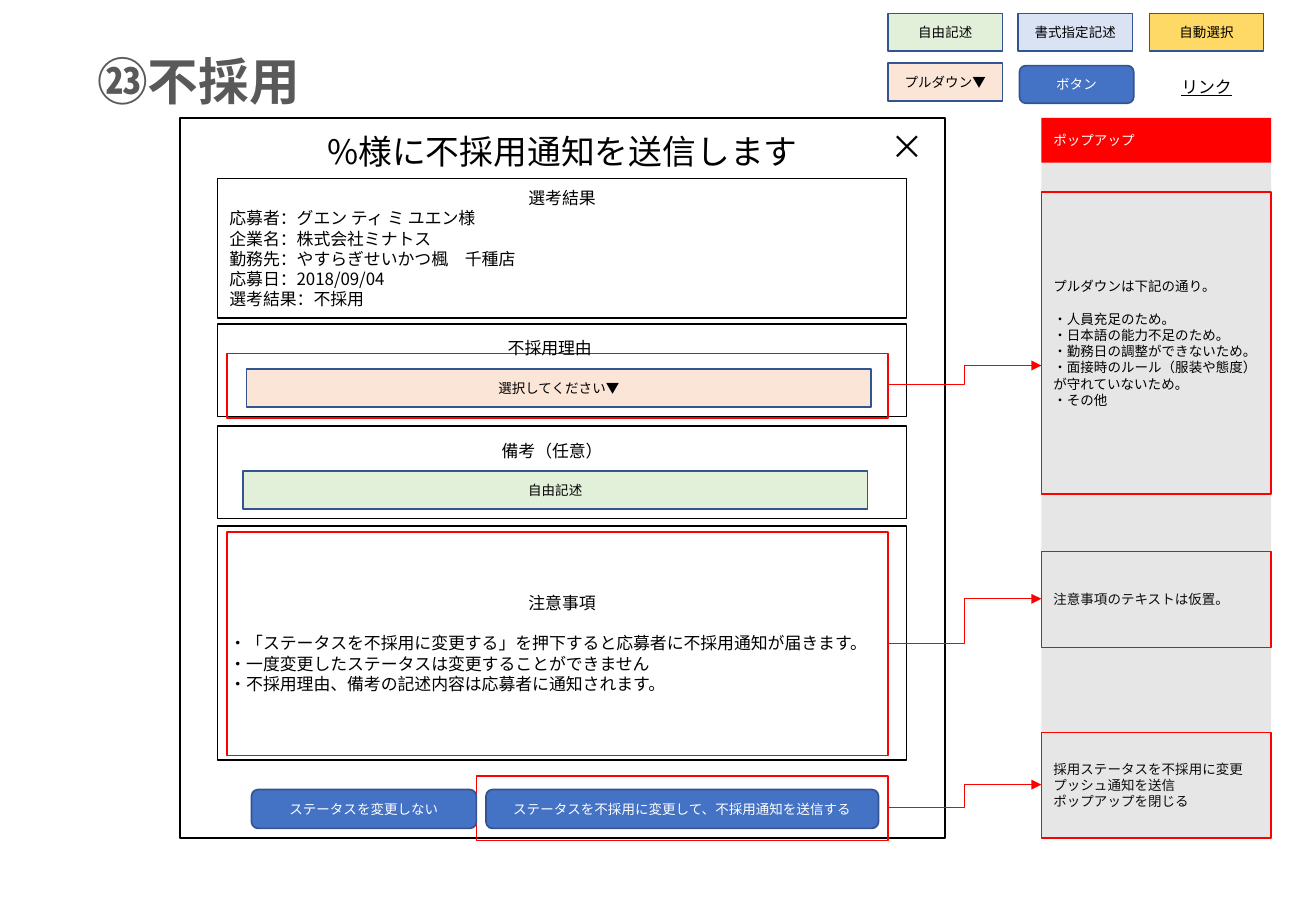
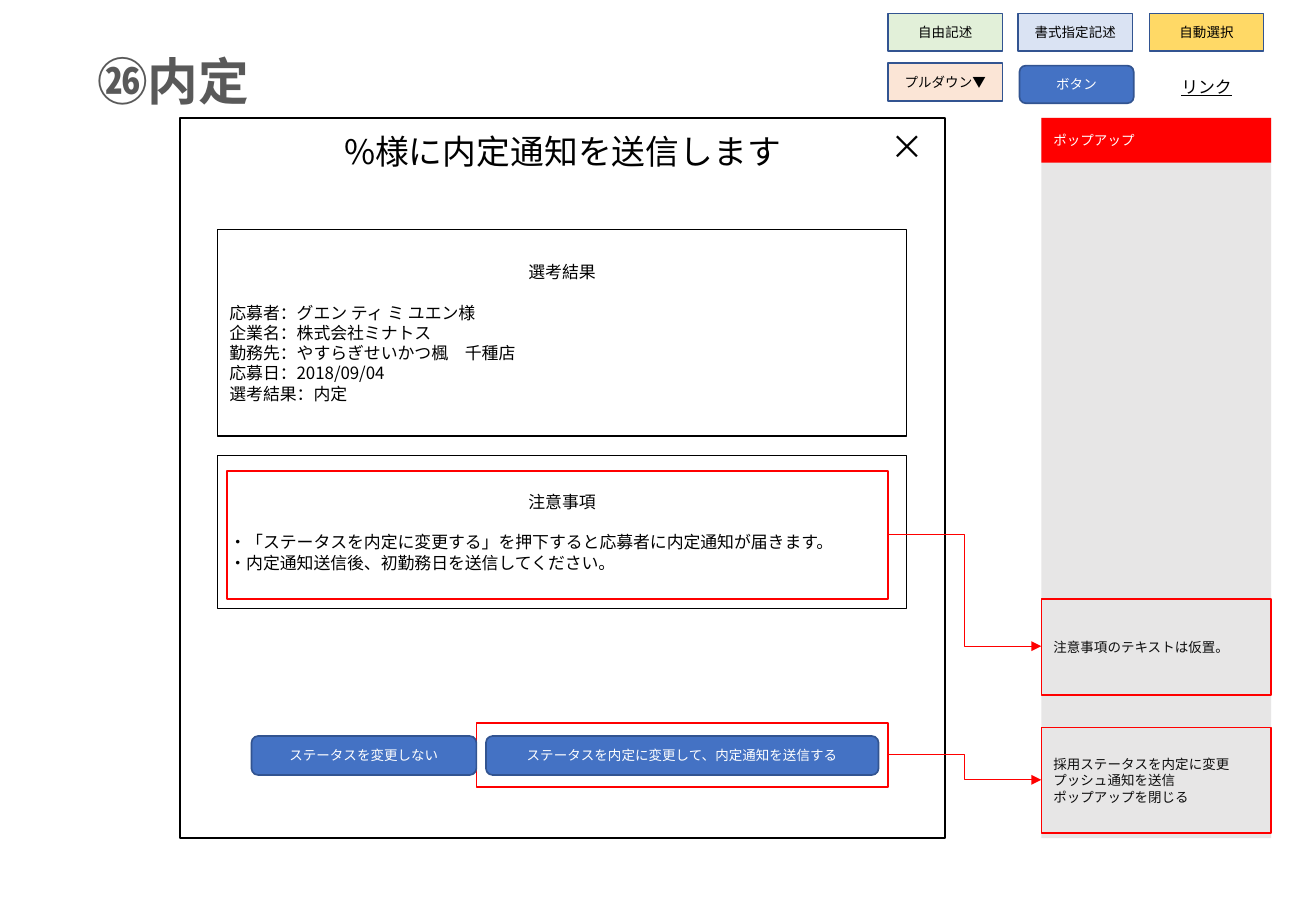
import pptx
import pptx.util
import pptx.dml.color
import pptx.enum.shapes
import pptx.enum.text
import pptx.oxml
import pptx.oxml.ns
import lxml.etree

PX = 9144
FONT = "Noto Sans CJK JP"
BLACK, WHITE, RED, INK = "000000", "FFFFFF", "FF0000", "0D0D0D"
GREY, TITLE, BLUE, EDGE = "E7E6E6", "595959", "4472C4", "325491"
FREE, FORMAT, AUTO, PULLDOWN = "E2F0D9", "DAE3F3", "FFD966", "FBE5D6"
LEGEND = (731, 11)
DIALOG = (148, 97, 630, 593)
SIDEBAR = (857, 97, 189, 593)
RECT = pptx.enum.shapes.MSO_SHAPE.RECTANGLE
ROUND = pptx.enum.shapes.MSO_SHAPE.ROUNDED_RECTANGLE
LEFT = pptx.enum.text.PP_ALIGN.LEFT
CENTER = pptx.enum.text.PP_ALIGN.CENTER
TOP = pptx.enum.text.MSO_ANCHOR.TOP
MIDDLE = pptx.enum.text.MSO_ANCHOR.MIDDLE


def emu(*lengths):
    """Turn px lengths into EMU."""
    return [pptx.util.Emu(n * PX) for n in lengths]


def rgb(value):
    """Turn a hex string into a colour."""
    return pptx.dml.color.RGBColor.from_string(value)


def inside(box, dx, dy, w, h):
    """Return a box offset from the corner of another."""
    return box[0] + dx, box[1] + dy, w, h


def write(sp, text, size=8, color=BLACK, align=LEFT, anchor=MIDDLE,
          bold=False, underline=False, first_align=None, gap=0):
    """Fill a shape with formatted paragraphs, one per line of text."""
    tf = sp.text_frame
    tf.word_wrap = True
    tf.auto_size = pptx.enum.text.MSO_AUTO_SIZE.NONE
    tf.vertical_anchor = anchor
    for i, line in enumerate(text.split("\n")):
        p = tf.add_paragraph() if i else tf.paragraphs[0]
        p.alignment = align if i or first_align is None else first_align
        p.line_spacing = pptx.util.Pt(size * 1.2)
        p.space_before = pptx.util.Pt(0)
        p.space_after = pptx.util.Pt(0 if i else gap)
        r = p.add_run()
        r.text = line
        r.font.size = pptx.util.Pt(size)
        r.font.bold = bold
        r.font.underline = underline
        r.font.color.rgb = rgb(color)
        r.font.name = FONT
        ea = lxml.etree.SubElement(r._r.get_or_add_rPr(), pptx.oxml.ns.qn("a:ea"))
        ea.set("typeface", FONT)


def shape(s, box, text="", fill=None, line=None, kind=RECT, **fmt):
    """Add a preset shape with optional fill, outline and text."""
    sp = s.shapes.add_shape(kind, *emu(*box))
    sp.shadow.inherit = False
    if fill:
        sp.fill.solid()
        sp.fill.fore_color.rgb = rgb(fill)
    else:
        sp.fill.background()
    if line:
        sp.line.color.rgb = rgb(line)
        sp.line.width = pptx.util.Pt(1)
    else:
        sp.line.fill.background()
    if text:
        write(sp, text, **fmt)


def label(s, box, text, **fmt):
    """Add a text box."""
    write(s.shapes.add_textbox(*emu(*box)), text, anchor=TOP, **fmt)


def field(s, box, text, fill):
    """Add an input field."""
    shape(s, box, text, fill, EDGE, align=CENTER)


def button(s, box, text):
    """Add a rounded button."""
    shape(s, box, text, BLUE, EDGE, ROUND, color=WHITE, align=CENTER)


def arrow(s, x1, y1, x2, y2):
    """Add a red elbow arrow."""
    elbow = pptx.enum.shapes.MSO_CONNECTOR.ELBOW
    c = s.shapes.add_connector(elbow, *emu(x1, y1, x2, y2))
    c.line.color.rgb = rgb(RED)
    c.line.width = pptx.util.Pt(0.5)
    tail = lxml.etree.SubElement(c.line._get_or_add_ln(), pptx.oxml.ns.qn("a:tailEnd"))
    tail.set("type", "triangle")
    lxml.etree.SubElement(c._element.spPr, pptx.oxml.ns.qn("a:effectLst"))


def callout(s, frame, dy, h, text, color=INK, target=None, **fmt):
    """Frame a region in red and point it to a note in the sidebar."""
    note = inside(SIDEBAR, 0, dy, SIDEBAR[2], h)
    shape(s, frame, line=RED)
    shape(s, note, text, line=RED, color=color, **fmt)
    x, y, w, height = frame
    arrow(s, x + w, y + height // 2, note[0], note[1] + (target or h // 2))


def legend(s, origin):
    """Draw the key of field types."""
    w, h = 94, 31
    cols = [i * 215 // 2 for i in range(3)]
    for dx, dy, text, fill in ((cols[0], 0, "自由記述", FREE),
                               (cols[1], 0, "書式指定記述", FORMAT),
                               (cols[2], 0, "自動選択", AUTO),
                               (cols[0], 41, "プルダウン▼", PULLDOWN)):
        field(s, inside(origin, dx, dy, w, h), text, fill)
    button(s, inside(origin, cols[1] + 1, 43, w, h), "ボタン")
    label(s, inside(origin, cols[2], 47, w, 27), "リンク",
          size=10, align=CENTER, underline=True)


def section(s, dy, h, text="", **fmt):
    """Add a bordered section to the dialog and return its box."""
    box = inside(DIALOG, 31, dy, 567, h)
    shape(s, box, text, line=BLACK, size=10, first_align=CENTER, **fmt)
    return box


def result(s, dy, h, outcome, gap=0):
    """Add the selection result section."""
    section(s, dy, h, "選考結果\n応募者：グエン ティ ミ ユエン様\n"
            "企業名：株式会社ミナトス\n勤務先：やすらぎせいかつ楓　千種店\n"
            f"応募日：2018/09/04\n選考結果：{outcome}", gap=gap)


def notice(s, dy, h, inset, frame_h, note_dy, outcome, points):
    """Add the cautions section and its callout."""
    text = (f"注意事項\n・「ステータスを{outcome}に変更する」を押下すると"
            f"応募者に{outcome}通知が届きます。\n{points}")
    box = section(s, dy, h, text, gap=12)
    callout(s, inside(box, 8, inset, 544, frame_h), note_dy, 79,
            "注意事項のテキストは仮置。")


def reason(s, dy):
    """Add the rejection reason section and its callout."""
    box = section(s, dy, 76)
    callout(s, inside(box, 8, 24, 544, 53), 61, 249,
            "プルダウンは下記の通り。\n・人員充足のため。\n"
            "・日本語の能力不足のため。\n・勤務日の調整ができないため。\n"
            "・面接時のルール（服装や態度）が守れていないため。\n・その他",
            color=BLACK, target=143, gap=9.6)
    label(s, inside(box, 229, 6, 118, 27), "不採用理由", size=10)
    field(s, inside(box, 24, 37, 514, 31), "選択してください▼", PULLDOWN)


def remarks(s, dy):
    """Add the optional remarks section."""
    box = section(s, dy, 76)
    label(s, inside(box, 224, 7, 118, 27), "備考（任意）", size=10)
    field(s, inside(box, 21, 37, 514, 31), "自由記述", FREE)


def actions(s, dy, note_dy, outcome):
    """Add the two buttons and the callout of the second."""
    frame = inside(DIALOG, 244, dy, 339, 53)
    callout(s, frame, note_dy, 87, f"採用ステータスを{outcome}に変更\n"
            "プッシュ通知を送信\nポップアップを閉じる")
    button(s, inside(frame, 8, 11, 323, 32),
           f"ステータスを{outcome}に変更して、{outcome}通知を送信する")
    button(s, inside(frame, -185, 11, 185, 32), "ステータスを変更しない")


def page(prs, number, outcome):
    """Add a slide with title, legend, sidebar and empty dialog."""
    s = prs.slides.add_slide(prs.slide_layouts[5])
    title = s.shapes.title
    title.left, title.top, title.width, title.height = emu(70, 36, 939, 61)
    write(title, number + outcome, size=30, color=TITLE, bold=True, anchor=TOP)
    legend(s, LEGEND)
    shape(s, SIDEBAR, fill=GREY)
    shape(s, inside(SIDEBAR, 0, 0, SIDEBAR[2], 37), "ポップアップ", RED, color=WHITE)
    shape(s, DIALOG, line=BLACK)
    label(s, inside(DIALOG, 0, 6, DIALOG[2], 44),
          f"%様に{outcome}通知を送信します", size=20, align=CENTER)
    label(s, inside(DIALOG, 567, 2, 63, 44), "×", size=20, align=CENTER)
    return s


def rejection(prs):
    """Build the rejection slide."""
    outcome = "不採用"
    s = page(prs, "㉓", outcome)
    result(s, 50, 115, outcome)
    reason(s, 170)
    remarks(s, 254)
    notice(s, 336, 193, 5, 184, 357, outcome,
           "・一度変更したステータスは変更することができません\n"
           "・不採用理由、備考の記述内容は応募者に通知されます。")
    actions(s, 542, 506, outcome)


def offer(prs):
    """Build the job offer slide."""
    outcome = "内定"
    s = page(prs, "㉖", outcome)
    result(s, 92, 170, outcome, gap=12)
    notice(s, 278, 126, 13, 105, 396, outcome,
           "・内定通知送信後、初勤務日を送信してください。")
    actions(s, 498, 502, outcome)


def main():
    """Build and save the presentation."""
    prs = pptx.Presentation()
    prs.slide_width, prs.slide_height = emu(1083, 750)
    rejection(prs)
    offer(prs)
    prs.save("out.pptx")


if __name__ == "__main__":
    main()
